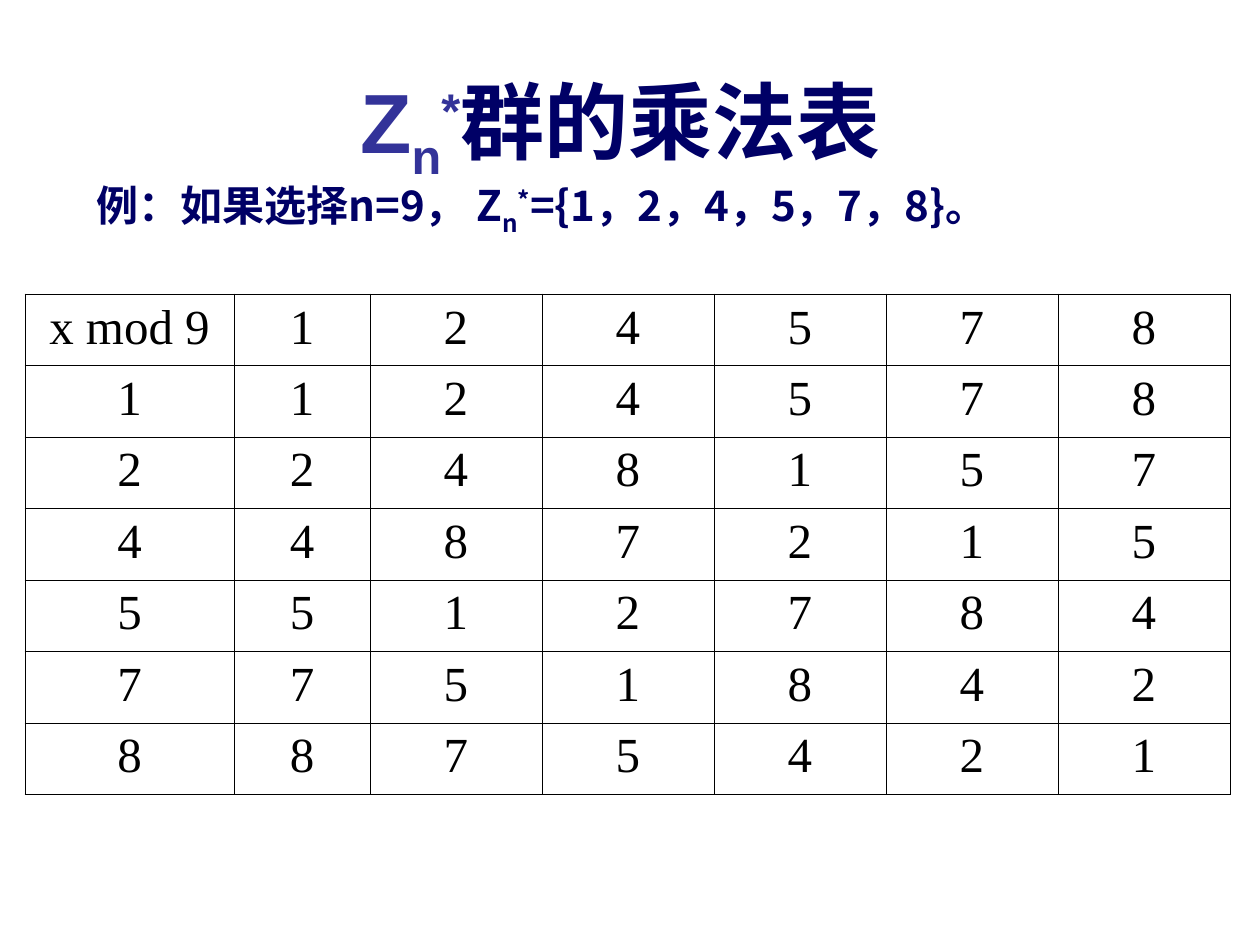
from dataclasses import dataclass

from lxml.etree import SubElement
from pptx import Presentation
from pptx.dml.color import RGBColor
from pptx.enum.text import MSO_ANCHOR, MSO_AUTO_SIZE, PP_ALIGN
from pptx.oxml import parse_xml
from pptx.oxml.ns import nsdecls, qn
from pptx.util import Emu, Pt

EMU_PER_PX = 914400 / 126
SUBSCRIPT, SUPERSCRIPT = -25, 30


def px(length):
    return Emu(round(length * EMU_PER_PX))


@dataclass(frozen=True)
class Theme:
    navy: str = "000066"
    indigo: str = "333399"
    black: str = "000000"
    title_size: int = 48
    example_size: int = 24
    cell_size: int = 28
    border_width: float = 0.45
    cjk_font: str = "Noto Sans CJK SC"
    symbol_font: str = "Arial"
    serif_font: str = "Times New Roman"


class SlideBuilder:
    def __init__(self, slide, theme):
        self.slide = slide
        self.theme = theme

    def run(self, paragraph, text, size, font, color, bold=False, baseline=0):
        run = paragraph.add_run()
        run.text = text
        run.font.size = Pt(size)
        run.font.bold = bold
        run.font.name = font
        run.font.color.rgb = RGBColor.from_string(color)
        properties = run._r.get_or_add_rPr()
        if baseline:
            properties.set("baseline", str(baseline * 1000))
        SubElement(properties, qn("a:ea")).set("typeface", self.theme.cjk_font)

    def frame(self, box, left, top, width, height, anchor, alignment):
        box.left, box.top, box.width, box.height = map(px, (left, top, width, height))
        frame = box.text_frame
        frame.word_wrap = True
        frame.vertical_anchor = anchor
        paragraph = frame.paragraphs[0]
        paragraph.alignment = alignment
        return frame, paragraph

    def title(self, parts, left, top, width, height):
        frame, paragraph = self.frame(self.slide.shapes.title, left, top, width, height,
                                      MSO_ANCHOR.TOP, PP_ALIGN.CENTER)
        frame.auto_size = MSO_AUTO_SIZE.SHAPE_TO_FIT_TEXT
        for text, font, color, baseline in parts:
            self.run(paragraph, text, self.theme.title_size, font, color, True, baseline)

    def example(self, parts, left, top, width, height):
        box = self.slide.shapes.add_textbox(0, 0, 0, 0)
        frame, paragraph = self.frame(box, left, top, width, height,
                                      MSO_ANCHOR.MIDDLE, PP_ALIGN.JUSTIFY)
        for text, baseline in parts:
            self.run(paragraph, text, self.theme.example_size, self.theme.cjk_font,
                     self.theme.navy, True, baseline)

    def border(self, cell):
        properties = cell._tc.get_or_add_tcPr()
        for index, side in enumerate(("lnL", "lnR", "lnT", "lnB")):
            properties.insert(index, parse_xml(
                f'<a:{side} {nsdecls("a")} w="{Pt(self.theme.border_width)}">'
                f'<a:solidFill><a:srgbClr val="{self.theme.black}"/></a:solidFill>'
                f'</a:{side}>'))

    def table(self, rows, left, top, column_widths, height):
        count = len(rows)
        table = self.slide.shapes.add_table(
            count, len(column_widths), px(left), px(top),
            px(sum(column_widths)), px(height)).table
        table.first_row = table.horz_banding = False
        for column, width in zip(table.columns, column_widths):
            column.width = px(width)
        for row_index, values in enumerate(rows):
            table.rows[row_index].height = px(height / count)
            for column_index, value in enumerate(values):
                cell = table.cell(row_index, column_index)
                cell.fill.background()
                self.border(cell)
                paragraph = cell.text_frame.paragraphs[0]
                paragraph.alignment = PP_ALIGN.CENTER
                self.run(paragraph, str(value), self.theme.cell_size,
                         self.theme.serif_font, self.theme.black)


def main():
    presentation = Presentation()
    presentation.slide_width, presentation.slide_height = px(1260), px(945)
    theme = Theme()
    slide = presentation.slides.add_slide(presentation.slide_layouts.get_by_name("Title Only"))
    builder = SlideBuilder(slide, theme)

    builder.title([
        ("Z", theme.symbol_font, theme.indigo, 0),
        ("n", theme.symbol_font, theme.indigo, SUBSCRIPT),
        ("*", theme.symbol_font, theme.indigo, SUPERSCRIPT),
        ("群的乘法表", theme.serif_font, theme.navy, 0),
    ], 53, 63, 1135, 127)

    builder.example([
        ("例：如果选择n=9， Z", 0),
        ("n", SUBSCRIPT),
        ("*", SUPERSCRIPT),
        ("={1，2，4，5，7，8}。", 0),
    ], 84, 145, 1134, 127)

    modulus = 9
    units = [1, 2, 4, 5, 7, 8]
    products = [[a] + [a * b % modulus for b in units] for a in units]
    builder.table([[f"x mod {modulus}"] + units] + products,
                  25, 294, [209, 136] + [172] * 5, 500)

    presentation.save("out.pptx")


if __name__ == "__main__":
    main()
